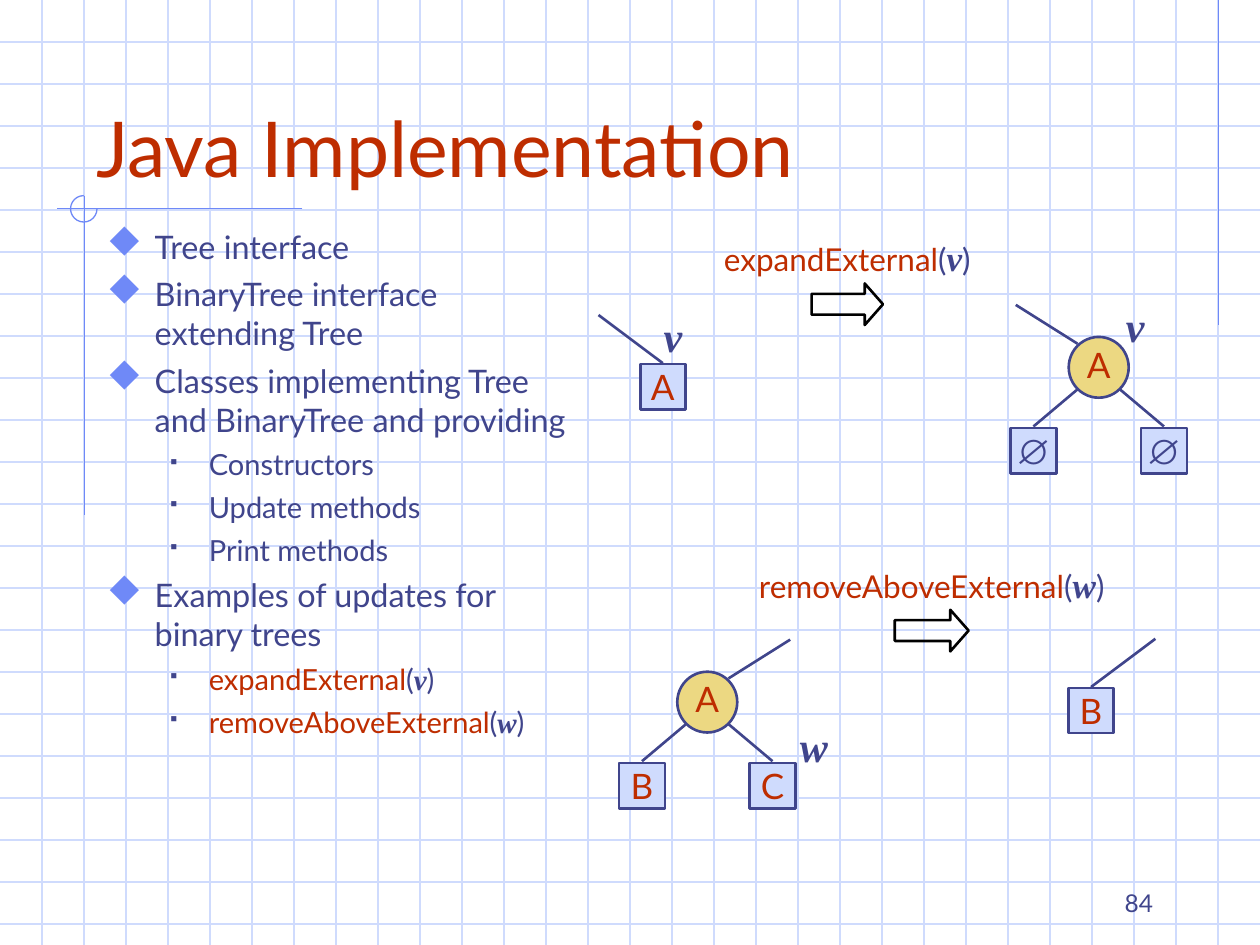
from dataclasses import dataclass
from lxml import etree
from pptx import Presentation
from pptx.dml.color import RGBColor
from pptx.enum.shapes import MSO_CONNECTOR, MSO_SHAPE
from pptx.enum.text import MSO_ANCHOR, PP_ALIGN
from pptx.oxml.ns import qn
from pptx.util import Inches, Pt

LINE = MSO_CONNECTOR.STRAIGHT
RECT, OVAL = MSO_SHAPE.RECTANGLE, MSO_SHAPE.OVAL
ARC, ARROW = MSO_SHAPE.ARC, MSO_SHAPE.RIGHT_ARROW
TOP, MID, BASE = MSO_ANCHOR.TOP, MSO_ANCHOR.MIDDLE, MSO_ANCHOR.BOTTOM
LEFT, MIDST, RIGHT = PP_ALIGN.LEFT, PP_ALIGN.CENTER, PP_ALIGN.RIGHT
CELL = Inches(1) / 3
COLS, ROWS = 30, 22.5


@dataclass(frozen=True)
class Theme:
    ink: str = "40458C"
    red: str = "BE2D00"
    mesh: str = "CFDBFD"
    trim: str = "6F89F7"
    gold: str = "ECD882"
    black: str = "000000"
    sans: str = "Lato"
    serif: str = "Times New Roman"
    sign: str = "Arial"
    mark: str = "Wingdings"
    title: float = 44
    point: float = 18.5
    minor: float = 16.6
    call: float = 18
    node: float = 20
    name: float = 24
    page: float = 14
    thin: float = 0.75
    thick: float = 1.5


THEME = Theme()


def size(cells):
    return round(cells * CELL)


def part(box, x, y, w, h):
    left, top, wide, high = box
    return left + x * wide, top + y * high, w * wide, h * high


def stroke(line, color, width):
    line.color.rgb = RGBColor.from_string(color)
    line.width = Pt(width)


def draw_line(slide, start, end, color=THEME.ink, width=THEME.thick):
    line = slide.shapes.add_connector(LINE, *map(size, (*start, *end)))
    stroke(line.line, color, width)
    etree.SubElement(line._element.spPr, qn("a:effectLst"))


def join(slide, box, x1, y1, x2, y2):
    start, end = part(box, x1, y1, 0, 0), part(box, x2, y2, 0, 0)
    draw_line(slide, start[:2], end[:2])


def draw_shape(slide, kind, box, fill, color=THEME.ink, width=THEME.thick):
    shape = slide.shapes.add_shape(kind, *map(size, box))
    shape.shadow.inherit = False
    if fill:
        shape.fill.solid()
        shape.fill.fore_color.rgb = RGBColor.from_string(fill)
    else:
        shape.fill.background()
    stroke(shape.line, color, width)
    return shape


def set_frame(frame, anchor, side=0, top=0.05, wrap=True):
    frame.word_wrap = wrap
    frame.vertical_anchor = anchor
    frame.margin_left = frame.margin_right = Inches(side)
    frame.margin_top, frame.margin_bottom = Inches(top), Inches(0.05)


def set_font(run, points, color, face=THEME.sans, bold=False, slant=False):
    font = run.font
    font.name, font.size = face, Pt(points)
    font.bold, font.italic = bold, slant
    font.color.rgb = RGBColor.from_string(color)


def write_call(para, call, points, grow=0):
    verb, name = call
    for text in (verb, "(", name, ")"):
        run = para.add_run()
        run.text = text
        set_font(run, points, THEME.red if text == verb else THEME.ink)
        if text == name:
            set_font(run, points + grow, THEME.ink, THEME.serif, True, True)


def add_text(slide, box, text, points, color, align=LEFT, anchor=TOP, **style):
    frame = slide.shapes.add_textbox(*map(size, box)).text_frame
    set_frame(frame, anchor, 0.1)
    para = frame.paragraphs[0]
    para.text, para.alignment = text, align
    set_font(para.runs[0], points, color, **style)


def add_name(slide, box, text):
    add_text(slide, box, text, THEME.name, THEME.ink, MIDST,
             face=THEME.serif, bold=True, slant=True)


def add_node(slide, kind, box, text):
    shape = draw_shape(slide, kind, box, THEME.gold if kind == OVAL else THEME.mesh)
    frame = shape.text_frame
    set_frame(frame, MID, top=0 if kind == OVAL else 0.05, wrap=False)
    para = frame.paragraphs[0]
    para.text, para.alignment = text, MIDST
    if text == "∅":
        set_font(para.runs[0], THEME.node, THEME.ink, THEME.sign, True)
    else:
        set_font(para.runs[0], THEME.node, THEME.red)


def add_tree(slide, box, root, leaves, flip=False):
    add_node(slide, OVAL, part(box, 0.33, 0.19, 0.34, 0.36), root)
    for x, text in zip((0, 0.74), leaves):
        add_node(slide, RECT, part(box, x, 0.73, 0.26, 0.27), text)
    for side in (False, True):
        ends = [1 - x if side else x for x in (0.13, 0.38)]
        join(slide, box, ends[0], 0.72, ends[1], 0.5)
    start, end = (0.62, 0.97) if flip else (0.38, 0.03)
    join(slide, box, start, 0.23, end, 0)


def add_leaf(slide, box, text, flip=False):
    add_node(slide, RECT, part(box, 0 if flip else 0.48, 0.52, 0.52, 0.48), text)
    start, end = (0.26, 1) if flip else (0.74, 0)
    join(slide, box, start, 0.51, end, 0)


def add_step(slide, box, call):
    arrow = draw_shape(slide, ARROW, part(box, 0.4, 0.56, 0.2, 0.44), None, THEME.black)
    arrow.adjustments[1] = 0.44
    frame = slide.shapes.add_textbox(*map(size, part(box, 0, 0, 1, 0.59))).text_frame
    set_frame(frame, TOP)
    para = frame.paragraphs[0]
    para.alignment = MIDST
    write_call(para, call, THEME.call, 2)


def add_mesh(slide, box):
    left, top, wide, high = box
    for row in range(1, int(high) + 1):
        draw_line(slide, (left, top + row), (left + wide, top + row), THEME.mesh, THEME.thin)
    for col in range(1, int(wide)):
        draw_line(slide, (left + col, top), (left + col, top + high), THEME.mesh, THEME.thin)


def add_trim(slide, box):
    for ends in ((0.967, 0, 0.967, 0.344), (0.24, 0.221, 0.045, 0.221),
                 (0.067, 0.207, 0.067, 0.545)):
        start, end = part(box, *ends[:2], 0, 0), part(box, *ends[2:], 0, 0)
        draw_line(slide, start[:2], end[:2], THEME.trim, THEME.thin)
    ring = draw_shape(slide, ARC, part(box, 0.056, 0.207, 0.021, 0.028),
                      None, THEME.trim, THEME.thin)
    ring.adjustments[0], ring.adjustments[1] = 0, 162


def add_mark(para, level):
    mark, color, scale, edge, hang = (
        ("§", THEME.ink, 60, 0.81, 0.31) if level else ("u", THEME.trim, 110, 0.38, 0.38))
    props = para._p.get_or_add_pPr()
    props.set("marL", str(Inches(edge)))
    props.set("indent", str(-Inches(hang)))
    tint = etree.SubElement(props, qn("a:buClr"))
    etree.SubElement(tint, qn("a:srgbClr"), val=color)
    etree.SubElement(props, qn("a:buSzPct"), val=str(scale * 1000))
    etree.SubElement(props, qn("a:buFont"), typeface=THEME.mark, pitchFamily="2", charset="2")
    etree.SubElement(props, qn("a:buChar"), char=mark)


def add_list(slide, box, items):
    frame = slide.shapes.add_textbox(*map(size, box)).text_frame
    set_frame(frame, TOP, 0.1)
    for spot, (level, text) in enumerate(items):
        para = frame.add_paragraph() if spot else frame.paragraphs[0]
        add_mark(para, level)
        para.level = level
        if spot:
            para.space_before = Pt(4.5 if level else 5)
        points = THEME.minor if level else THEME.point
        if isinstance(text, tuple):
            write_call(para, text, points)
        else:
            para.text = text
            set_font(para.runs[0], points, THEME.ink)


def main():
    deck = Presentation()
    deck.slide_width, deck.slide_height = size(COLS), size(ROWS)
    slide = deck.slides.add_slide(deck.slide_layouts[6])
    page = (0, 0, COLS, ROWS)
    grow, prune = ("expandExternal", "v"), ("removeAboveExternal", "w")
    add_mesh(slide, page)
    add_trim(slide, page)
    add_text(slide, (2, 1, 25.5, 3.75), "Java Implementation",
             THEME.title, THEME.red, anchor=BASE)
    add_list(slide, (2.25, 5.25, 11.75, 14.75), [
        (0, "Tree interface"), (0, "BinaryTree interface extending Tree"),
        (0, "Classes implementing Tree and BinaryTree and providing"),
        (1, "Constructors"), (1, "Update methods"), (1, "Print methods"),
        (0, "Examples of updates for binary trees"), (1, grow), (1, prune)])
    add_tree(slide, (24.06, 7.26, 4.2, 4.02), "A", "∅∅")
    add_step(slide, (15.93, 5.49, 8.49, 2.25), grow)
    add_tree(slide, (14.74, 15.23, 4.2, 4.02), "A", "BC", flip=True)
    add_leaf(slide, (25.44, 15.21, 2.07, 2.25), "B", flip=True)
    add_step(slide, (17.79, 13.26, 8.79, 2.25), prune)
    add_leaf(slide, (14.25, 7.5, 2.07, 2.25), "A")
    for x, y, name in ((15.5, 7.25, "v"), (26.5, 7, "v"), (18.75, 17, "w")):
        add_name(slide, (x, y, 1.05, 1.5), name)
    add_text(slide, (21.5, 20.5, 6.25, 1.5), "84", THEME.page, THEME.ink, RIGHT, BASE)
    deck.save("out.pptx")


if __name__ == "__main__":
    main()
